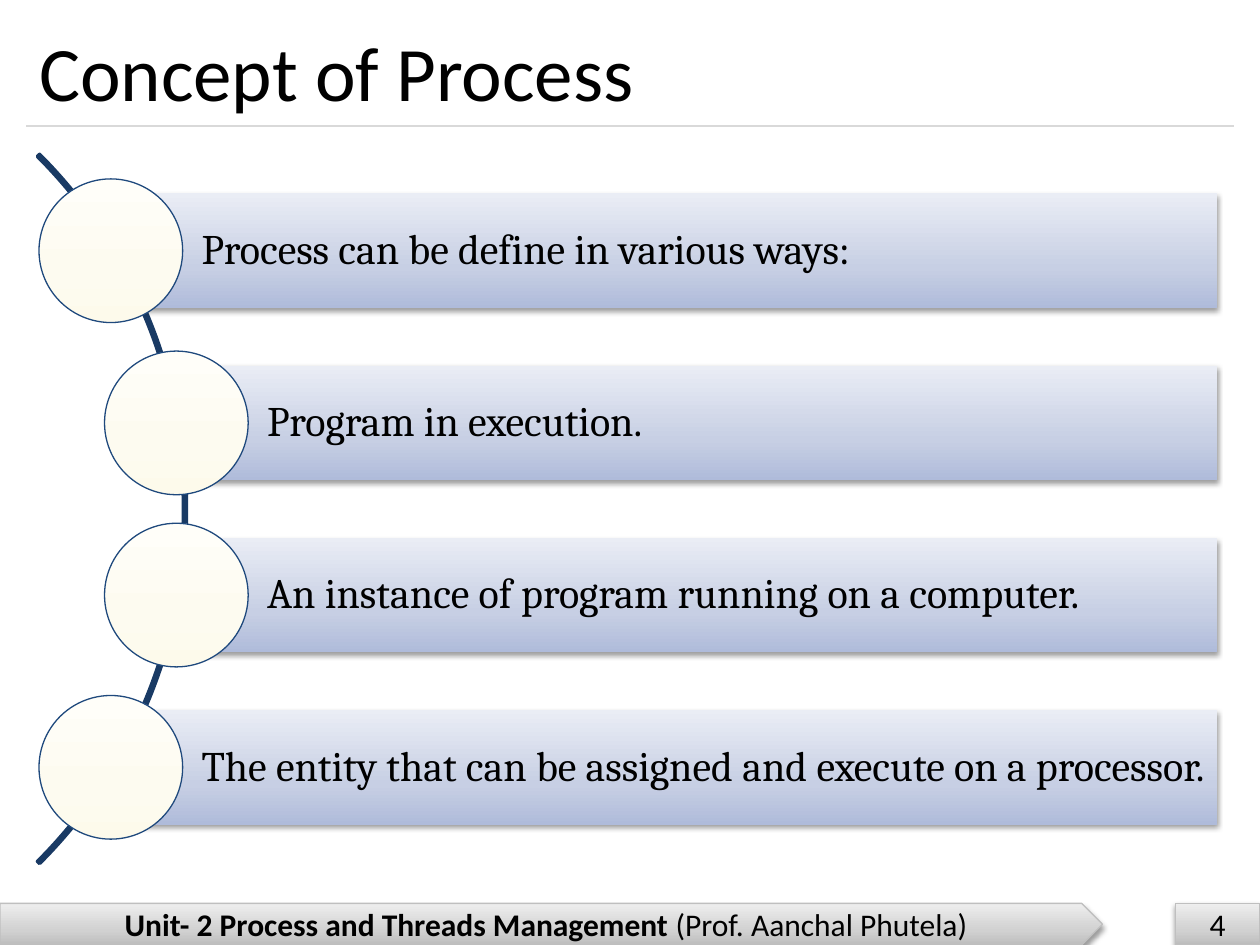
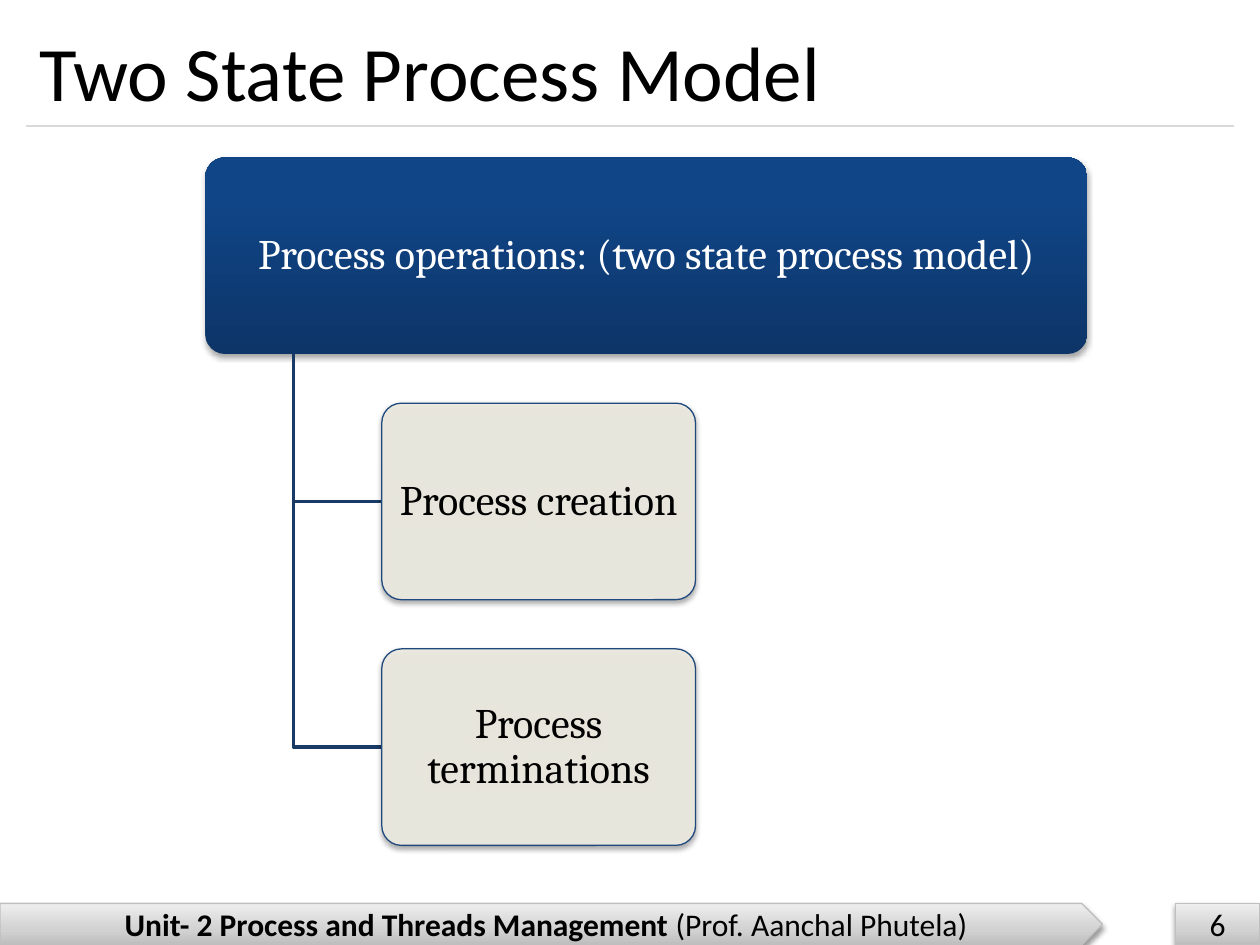
from copy import deepcopy
from dataclasses import dataclass

from lxml import etree
from pptx import Presentation
from pptx import util as u
from pptx.dml.color import RGBColor
from pptx.enum import shapes, text
from pptx.oxml.ns import qn


@dataclass(frozen=True)
class Theme:
    head: str = "Calibri"
    body: str = "Cambria"
    big: int = 44
    mid: int = 24
    small: int = 18
    black: str = "000000"
    white: str = "FFFFFF"
    rule: str = "D9D9D9"
    edge: str = "BFBFBF"
    navy: str = "193A64"
    blue: str = "1F497D"
    sand: str = "EEECE1"
    # Gradients run from bottom to top: (position, colour)
    gray: tuple = ((0, "BDBDBD"), (0.35, "D1D1D1"), (1, "EEEEEE"))
    pale: tuple = ((0, "AFBBDA"), (0.35, "C7CFE4"), (1, "EAEDF5"))
    cream: tuple = ((0, "FDFAEB"), (0.35, "FDFBF0"), (1, "FFFEF9"))
    deep: tuple = ((0, "0D3568"), (0.8, "104587"), (1, "0E458A"))


T = Theme()
Inches, Kind = u.Inches, shapes.MSO_SHAPE
Align, Anchor = text.PP_ALIGN, text.MSO_ANCHOR


def paint(shape, fill=None, line=None, width=0.75, shade=0):
    """Set fill (colour or gradient), outline and shadow opacity in percent."""
    props = shape._element.spPr
    if fill is None:
        shape.fill.background()
    elif isinstance(fill, str):
        shape.fill.solid()
        shape.fill.fore_color.rgb = RGBColor.from_string(fill)
    else:
        shape.fill.gradient()
        shape.fill.gradient_angle = 90
        stops = props.find(qn("a:gradFill")).find(qn("a:gsLst"))
        stops.append(deepcopy(stops[-1]))
        for stop, (pos, color) in zip(shape.fill.gradient_stops, fill):
            stop.position = pos
            stop.color.rgb = RGBColor.from_string(color)
    if line:
        shape.line.color.rgb = RGBColor.from_string(line)
        shape.line.width = u.Pt(width)
    else:
        shape.line.fill.background()
    shape.shadow.inherit = False
    if shade:
        drop = etree.SubElement(
            props.find(qn("a:effectLst")), qn("a:outerShdw"), blurRad="39370",
            dist="20320", dir="5400000", rotWithShape="0")
        tint = etree.SubElement(drop, qn("a:srgbClr"), val=T.black)
        etree.SubElement(tint, qn("a:alpha"), val=str(shade * 1000))


def write(shape, runs, font, size, color=T.black, align=Align.LEFT,
          inset=(0.1, 0.05, 0.1, 0.05), space=1.0):
    """Write (words, bold) runs in one paragraph, centred in height."""
    frame = shape.text_frame
    frame.word_wrap = True
    frame.auto_size = text.MSO_AUTO_SIZE.NONE
    frame.vertical_anchor = Anchor.MIDDLE
    (frame.margin_left, frame.margin_top,
     frame.margin_right, frame.margin_bottom) = map(Inches, inset)
    para = frame.paragraphs[0]
    para.alignment, para.line_spacing = align, space
    for words, bold in runs:
        run = para.add_run()
        run.text = words
        run.font.name, run.font.size, run.font.bold = font, u.Pt(size), bold
        run.font.color.rgb = RGBColor.from_string(color)


prs = Presentation()
prs.slide_width, prs.slide_height = Inches(10), Inches(7.5)

# Shared frame: title, rule, footer band and page number
pages = []
for name, num in (("Concept of Process", "4"), ("Two State Process Model", "6")):
    slide = prs.slides.add_slide(prs.slide_layouts[5])
    pages.append(slide.shapes)
    title = slide.shapes.title
    title.left, title.top = Inches(0.21), Inches(0.12)
    title.width, title.height = Inches(9.58), Inches(0.88)
    write(title, [(name, False)], T.head, T.big)

    rule = slide.shapes.add_connector(
        shapes.MSO_CONNECTOR.STRAIGHT, Inches(0.21), Inches(1), Inches(9.79), Inches(1))
    rule.line.color.rgb = RGBColor.from_string(T.rule)
    rule.line.width = u.Pt(0.75)
    etree.SubElement(rule._element.spPr, qn("a:effectLst"))

    unit = [("Unit- 2 Process and Threads Management ", True),
            ("(Prof. Aanchal Phutela)", False)]
    for kind, left, width, runs in ((Kind.PENTAGON, 0, 8.75, unit),
                                    (Kind.RECTANGLE, 9.33, 0.67, [(num, False)])):
        band = slide.shapes.add_shape(
            kind, Inches(left), Inches(7.17), Inches(width), Inches(0.33))
        paint(band, T.gray, T.edge, shade=38)
        write(band, runs, T.head, T.small, align=Align.CENTER)

concept, model = pages

# Concept: arc behind the list
arc = concept.add_shape(
    Kind.BLOCK_ARC, Inches(-6.48), Inches(0.06), Inches(7.96), Inches(7.96))
for i, value in enumerate((189, 27, 0.003)):
    arc.adjustments[i] = value
paint(arc, line=T.navy, width=2)

# Concept: one bar and one dot per definition
dot, tall, right = 1.14, 0.91, 9.66
step = (5.52 - 1.42) / 3
rows = ((0.31, "Process can be define in various ways:"),
        (0.83, "Program in execution."),
        (0.83, "An instance of program running on a computer."),
        (0.31, "The entity that can be assigned and execute on a processor."))
for i, (left, words) in enumerate(rows):
    top, start = 1.42 + i * step, left + dot / 2
    bar = concept.add_shape(
        Kind.RECTANGLE, Inches(start), Inches(top + (dot - tall) / 2),
        Inches(right - start), Inches(tall))
    paint(bar, T.pale, shade=38)
    write(bar, [(words, False)], T.body, T.mid,
          inset=(0.72, 0.07, 0.07, 0.07), space=0.9)
    disc = concept.add_shape(
        Kind.OVAL, Inches(left), Inches(top), Inches(dot), Inches(dot))
    paint(disc, T.cream, T.blue)

# Model: root box, then each child with its elbow
high, gap, trunk = 1.56, 0.39, 2.33
nodes = ((1.63, 7, "Process operations: (two state process model)", T.deep, None, T.white),
         (3.03, 2.49, "Process creation", T.sand, T.blue, T.black),
         (3.03, 2.49, "Process terminations", T.sand, T.blue, T.black))
for i, (left, width, words, fill, line, color) in enumerate(nodes):
    top = 1.25 + i * (high + gap)
    if i:
        mid = Inches(top + high / 2)
        path = model.build_freeform(Inches(trunk), Inches(1.25 + high))
        path.add_line_segments(
            [(Inches(trunk), mid), (Inches(left), mid)], close=False)
        paint(path.convert_to_shape(), line=T.navy, width=2)
    box = model.add_shape(
        Kind.ROUNDED_RECTANGLE, Inches(left), Inches(top), Inches(width), Inches(high))
    box.adjustments[0] = 0.1
    paint(box, fill, line, shade=35)
    if fill == T.sand:
        tint = box._element.spPr.find(qn("a:solidFill"))[0]
        etree.SubElement(tint, qn("a:alpha"), val="90000")
    write(box, [(words, False)], T.body, T.mid, color, Align.CENTER,
          inset=(0.05, 0.03, 0.05, 0.03), space=0.9)

prs.save("out.pptx")
